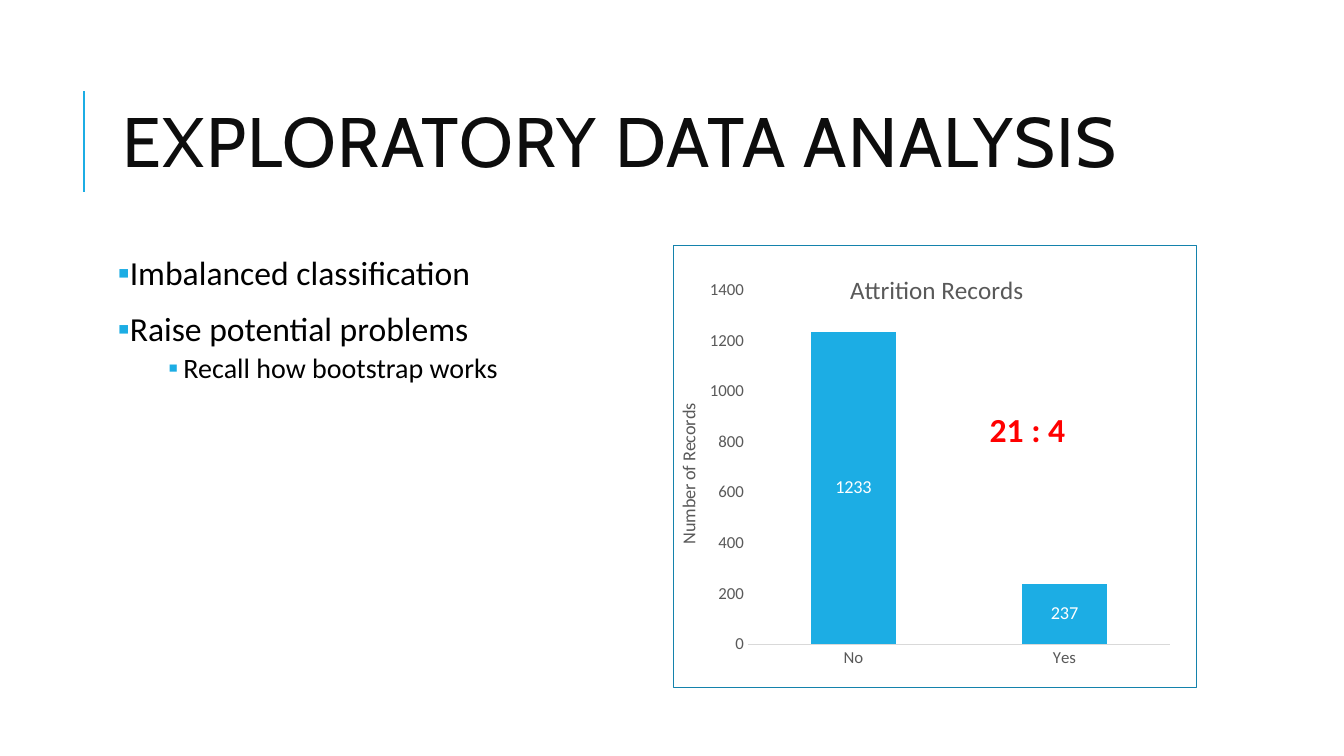
from dataclasses import dataclass

from lxml.etree import SubElement
from pptx import Presentation
from pptx.chart.data import CategoryChartData
from pptx.dml.color import RGBColor
from pptx.enum.chart import XL_CHART_TYPE as CT, XL_LABEL_POSITION as LP, XL_TICK_MARK as TM
from pptx.enum.shapes import MSO_CONNECTOR as CONN
from pptx.enum.text import MSO_ANCHOR as ANCHOR, MSO_AUTO_SIZE as FIT, PP_ALIGN as ALIGN
from pptx.oxml import parse_xml
from pptx.oxml.ns import nsdecls, qn
from pptx.util import Inches, Pt

BLUE = RGBColor(0x1C, 0xAD, 0xE4)
BORDER = RGBColor(0x14, 0x82, 0xAC)
BLACK = RGBColor(0, 0, 0)
INK = RGBColor(0x0D, 0x0D, 0x0D)
GRAY = RGBColor(0x59, 0x59, 0x59)
RULE = RGBColor(0xD9, 0xD9, 0xD9)
RED = RGBColor(0xFF, 0, 0)
WHITE = RGBColor(0xFF, 0xFF, 0xFF)


@dataclass(frozen=True)
class Bullet:
    """One bulleted line, with lengths in inches and sizes in points."""
    text: str
    size: float = 24
    left: float = 0.1
    hang: float = 0.1
    before: float = 12
    after: float = 2
    level: int = 0


BULLETS = [
    Bullet("Imbalanced classification"),
    Bullet("Raise potential problems"),
    Bullet("Recall how bootstrap works", 20, 0.65, 0.15, 2, 4, 3),
]


def style(font, size: float, color: RGBColor, name: str = "Calibri", bold: bool = False) -> None:
    """Set the look of a font."""
    font.size, font.name, font.bold = Pt(size), name, bold
    font.color.rgb = color


def add_box(s, left: float, top: float, width: float, height: float):
    """Add a wrapping text box and return its text frame."""
    tf = s.shapes.add_textbox(Inches(left), Inches(top), Inches(width), Inches(height)).text_frame
    tf.word_wrap = True
    return tf


def add_run(p, text: str, size: float, color: RGBColor, name: str = "Calibri", bold: bool = False):
    """Add a styled run to a paragraph."""
    r = p.add_run()
    r.text = text
    style(r.font, size, color, name, bold)
    return r


def add_title(s) -> None:
    """Draw the heading and the upright rule beside it."""
    line = s.shapes.add_connector(CONN.STRAIGHT, Inches(0.83), Inches(1.9), Inches(0.83), Inches(0.9))
    line.line.color.rgb, line.line.width = BLUE, Pt(1.5)
    SubElement(line._element.spPr, qn("a:effectLst"))
    tf = add_box(s, 1.12, 0.64, 10.63, 1.64)
    tf.vertical_anchor = ANCHOR.MIDDLE
    p = tf.paragraphs[0]
    p.line_spacing = 0.8
    r = add_run(p, "EXPLORATORY DATA ANALYSIS", 50, INK, "Cabin")
    r.font._element.set("spc", "100")


def add_bullets(s, bullets: list[Bullet]) -> None:
    """Draw the bulleted list."""
    tf = add_box(s, 1.12, 2.5, 5.2, 4.4)
    tf.margin_left = tf.margin_right = tf.margin_top = tf.margin_bottom = Inches(0.05)
    for i, b in enumerate(bullets):
        p = tf.add_paragraph() if i else tf.paragraphs[0]
        p.level, p.line_spacing = b.level, 0.9
        p.space_before, p.space_after = Pt(b.before), Pt(b.after)
        pr = p._p.get_or_add_pPr()
        pr.set("marL", str(Inches(b.left)))
        pr.set("indent", str(-Inches(b.hang)))
        SubElement(SubElement(pr, qn("a:buClr")), qn("a:srgbClr"), val=str(BLUE))
        SubElement(pr, qn("a:buFont"), typeface="Calibri")
        SubElement(pr, qn("a:buChar"), char="▪")
        add_run(p, b.text, b.size, BLACK)


def set_layout(parent, **values: object) -> None:
    """Give a chart part a manual layout."""
    for old in parent.findall(qn("c:layout")):
        parent.remove(old)
    layout = parse_xml(f"<c:layout {nsdecls('c')}/>")
    manual = SubElement(layout, qn("c:manualLayout"))
    for key, val in values.items():
        SubElement(manual, qn(f"c:{key}"), val=str(val))
    tx = parent.find(qn("c:tx"))
    if tx is None:
        parent.insert(0, layout)
    else:
        tx.addnext(layout)


def add_chart(s) -> None:
    """Draw the column chart of attrition records."""
    data = CategoryChartData()
    data.categories = ["No", "Yes"]
    data.add_series("Series 1", [1233, 237])
    chart = s.shapes.add_chart(CT.COLUMN_STACKED, Inches(6.67), Inches(2.43),
                               Inches(5.2), Inches(4.4), data).chart
    style(chart.font, 10, BLACK)
    chart.has_legend = False
    cat, val = chart.category_axis, chart.value_axis
    for owner, text, size in ((chart, "Attrition Records", 18), (val, "Number of Records", 13)):
        owner.has_title = True
        title = owner.chart_title if owner is chart else owner.axis_title
        add_run(title.text_frame.paragraphs[0], text, size, GRAY)
    chart.chart_title.include_in_layout = True
    set_layout(chart.chart_title._element, xMode="edge", yMode="edge", x=0.33, y=0.05)
    set_layout(chart._chartSpace.chart.plotArea, layoutTarget="inner", xMode="edge",
               yMode="edge", x=0.143, y=0.1, w=0.807, h=0.801)

    for axis in (cat, val):
        axis.major_tick_mark = axis.minor_tick_mark = TM.NONE
        axis.has_major_gridlines = False
        style(axis.tick_labels.font, 12, GRAY)
    cat.format.line.color.rgb, cat.format.line.width = RULE, Pt(0.75)
    val.format.line.fill.background()
    val.minimum_scale, val.maximum_scale, val.major_unit = 0, 1400, 200

    plot = chart.plots[0]
    plot.gap_width, plot.overlap, plot.vary_by_categories = 150, 100, False
    fill = plot.series[0].format.fill
    fill.solid()
    fill.fore_color.rgb = BLUE
    labels = plot.series[0].data_labels
    labels.show_value, labels.position = True, LP.CENTER
    style(labels.font, 13, WHITE)

    chart._chartSpace.chart.addnext(parse_xml(
        f'<c:spPr {nsdecls("c", "a")}><a:noFill/><a:ln w="{Pt(0.75)}"><a:solidFill>'
        f'<a:srgbClr val="{BORDER}"/></a:solidFill></a:ln></c:spPr>'))


def add_ratio(s) -> None:
    """Draw the class ratio over the chart."""
    tf = add_box(s, 9.48, 4.01, 1.42, 0.5)
    tf.auto_size = FIT.SHAPE_TO_FIT_TEXT
    p = tf.paragraphs[0]
    p.alignment = ALIGN.CENTER
    add_run(p, "21 : 4", 24, RED, bold=True)


def main() -> None:
    """Build and save the slide."""
    prs = Presentation()
    prs.slide_width, prs.slide_height = Inches(13.33), Inches(7.5)
    s = prs.slides.add_slide(prs.slide_layouts[6])
    add_title(s)
    add_bullets(s, BULLETS)
    add_chart(s)
    add_ratio(s)
    prs.save("out.pptx")


if __name__ == "__main__":
    main()
